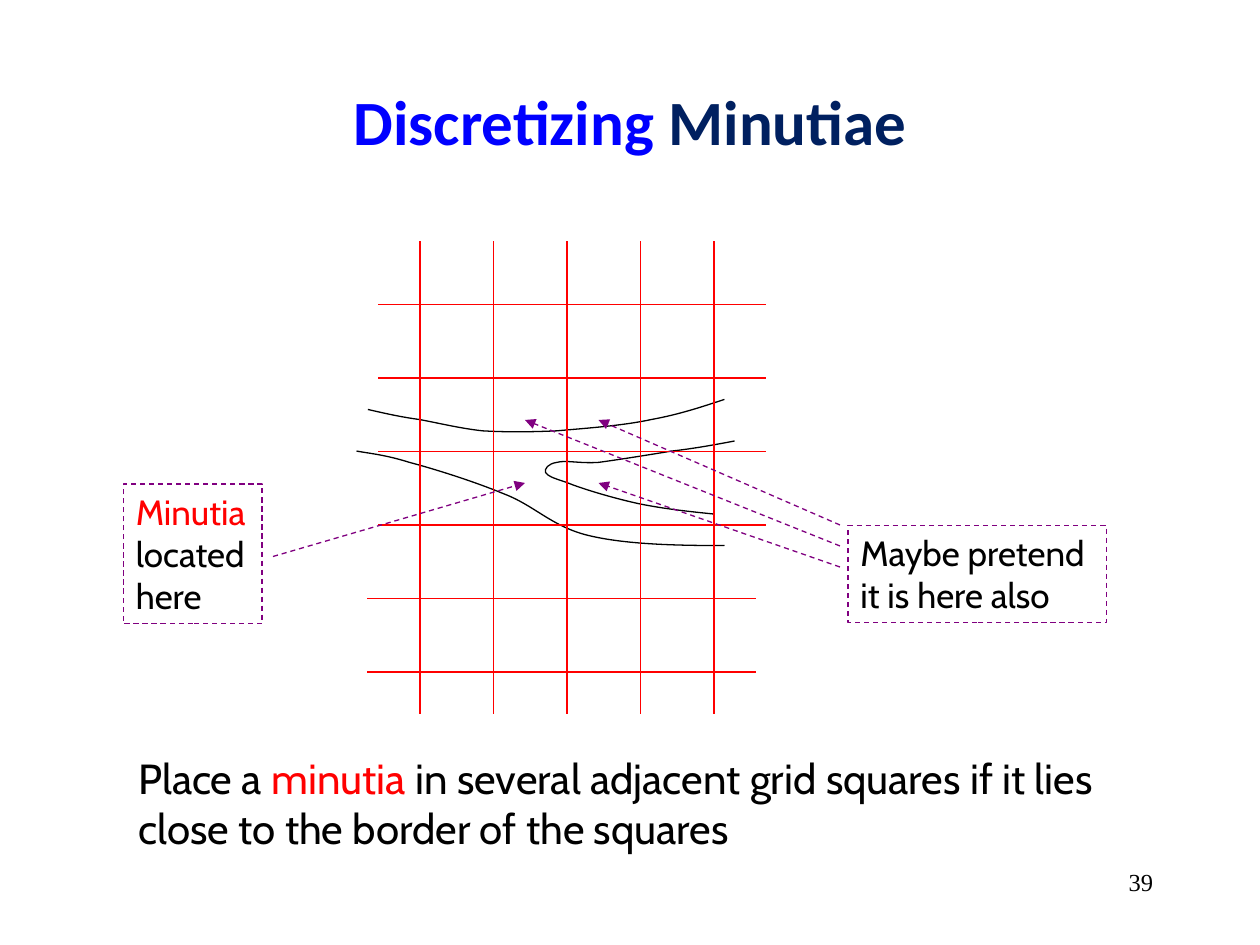
from lxml import etree
from pptx import Presentation, util as u
from pptx.dml.color import RGBColor
from pptx.enum import dml, shapes, text
from pptx.oxml.ns import qn

COLORS = {"black": "000000", "red": "FF0000", "blue": "0000FF",
          "navy": "002060", "purple": "800080"}

# Content: each paragraph is a list of (text, colour) runs
TITLE = [[("Discretizing ", "blue"), ("Minutiae", "navy")]]
SUMMARY = [[("Place a ", "black"), ("minutia", "red"),
            (" in several adjacent grid squares if it lies close to the "
             "border of the squares", "black")]]
LABELS = [
    ((0.98, 3.84, 1.1, 1.11),
     [[("Minutia", "red")], [("located", "black")], [("here", "black")]]),
    ((6.73, 4.17, 2.05, 0.77),
     [[("Maybe pretend", "black")], [("it is here also", "black")]]),
]
PAGE_NUMBER = [[("39", "black")]]

# Ridges in hundredths of an inch: a start point, then Bezier triples
RIDGES = [
    [(283, 358), (294, 360), (306, 361), (325, 367),
     (344, 372), (376, 382), (400, 392), (424, 401), (438, 418),
     (467, 425), (496, 432), (535, 433), (575, 433)],
    [(292, 325), (305, 328), (318, 331), (333, 333),
     (349, 336), (365, 340), (383, 342), (401, 343), (419, 343),
     (442, 342), (464, 340), (494, 338), (517, 333),
     (539, 329), (557, 323), (575, 317)],
    [(567, 408), (547, 406), (528, 404), (508, 400),
     (489, 396), (462, 388), (450, 383), (438, 379), (435, 378),
     (433, 375), (432, 372), (435, 368), (442, 367),
     (449, 365), (460, 368), (475, 367), (490, 365), (515, 361),
     (533, 358), (551, 356), (567, 353), (583, 350)],
]
RIDGE_UNIT = u.Inches(1) // 100

# Grid and arrows in units of a twelfth of an inch
UNIT = u.Inches(1) // 12
CELL = 7
COLUMNS = [40 + CELL * i for i in range(5)]
ROWS = [29 + CELL * i for i in range(6)]
GRID_TOP, GRID_BOTTOM = 23, 68
ROW_LEFT, ROW_LENGTH = 36, 37
SHIFTED_ROWS = ROWS[-2:]  # the lowest rows start one unit further left
ARROWS = [((26, 53), (50, 46)), ((80, 54), (57, 46)),
          ((80, 52), (50, 40)), ((80, 50), (57, 40))]


def rgb(name):
    return RGBColor.from_string(COLORS[name])


def style_line(line, color, dashed=False):
    line.color.rgb = rgb(color)
    line.width = u.Pt(0.75)
    if dashed:
        line.dash_style = dml.MSO_LINE.DASH


def write(shape, paragraphs, font, size, align=text.PP_ALIGN.LEFT,
          anchor=text.MSO_ANCHOR.TOP, bold=False, grow=False):
    frame = shape.text_frame
    frame.word_wrap = True
    frame.vertical_anchor = anchor
    if grow:
        frame.auto_size = text.MSO_AUTO_SIZE.SHAPE_TO_FIT_TEXT
    for index, runs in enumerate(paragraphs):
        paragraph = frame.add_paragraph() if index else frame.paragraphs[0]
        paragraph.alignment = align
        for content, color in runs:
            run = paragraph.add_run()
            run.text = content
            run.font.name = font
            run.font.size = u.Pt(size)
            run.font.bold = bold
            run.font.color.rgb = rgb(color)


def add_line(slide, start, end, color, arrow=False):
    points = [value * UNIT for value in (*start, *end)]
    line = slide.shapes.add_connector(shapes.MSO_CONNECTOR.STRAIGHT, *points)
    style_line(line.line, color, dashed=arrow)
    properties = line._element.spPr
    if arrow:
        etree.SubElement(properties.find(qn("a:ln")), qn("a:tailEnd"),
                         type="triangle")
    etree.SubElement(properties, qn("a:effectLst"))


def add_ridge(slide, points):
    builder = slide.shapes.build_freeform(*points[0], scale=RIDGE_UNIT)
    builder.add_line_segments(points[1:], close=False)
    ridge = builder.convert_to_shape()
    # Turn every three straight segments into one Bezier segment
    segments = list(ridge._element.iter(qn("a:lnTo")))
    outline = segments[0].getparent()
    for i in range(0, len(segments), 3):
        curve = etree.SubElement(outline, qn("a:cubicBezTo"))
        for segment in segments[i:i + 3]:
            curve.append(segment[0])
            outline.remove(segment)
    ridge.shadow.inherit = False
    ridge.fill.background()
    style_line(ridge.line, "black")


def add_text(slide, box, paragraphs, font, size, **options):
    shape = slide.shapes.add_textbox(*map(u.Inches, box))
    write(shape, paragraphs, font, size, **options)


def main():
    presentation = Presentation()
    presentation.slide_width, presentation.slide_height = u.Inches(10), u.Inches(7.5)
    slide = presentation.slides.add_slide(presentation.slide_layouts[5])

    # Title and page number
    title = slide.shapes.title
    title.left, title.top, title.width, title.height = map(
        u.Inches, (0.75, 0.33, 8.5, 1.25))
    write(title, TITLE, "Calibri", 36, text.PP_ALIGN.CENTER,
          text.MSO_ANCHOR.MIDDLE, bold=True)
    add_text(slide, (7.17, 6.83, 2.08, 0.5), PAGE_NUMBER, "Times New Roman", 14,
             align=text.PP_ALIGN.RIGHT)

    # Fingerprint ridges under the grid
    for ridge in RIDGES:
        add_ridge(slide, ridge)
    for x in COLUMNS:
        add_line(slide, (x, GRID_TOP), (x, GRID_BOTTOM), "red")
    for y in ROWS:
        left = ROW_LEFT - (y in SHIFTED_ROWS)
        add_line(slide, (left, y), (left + ROW_LENGTH, y), "red")

    # Labels and their arrows
    for box, paragraphs in LABELS:
        label = slide.shapes.add_shape(shapes.MSO_SHAPE.RECTANGLE,
                                       *map(u.Inches, box))
        label.shadow.inherit = False
        label.fill.background()
        style_line(label.line, "purple", dashed=True)
        write(label, paragraphs, "Cabin", 20, grow=True)
    for start, end in ARROWS:
        add_line(slide, start, end, "purple", arrow=True)

    # Summary
    add_text(slide, (1, 5.92, 7.83, 0.91), SUMMARY, "Cabin", 24, grow=True)
    presentation.save("out.pptx")


if __name__ == "__main__":
    main()
